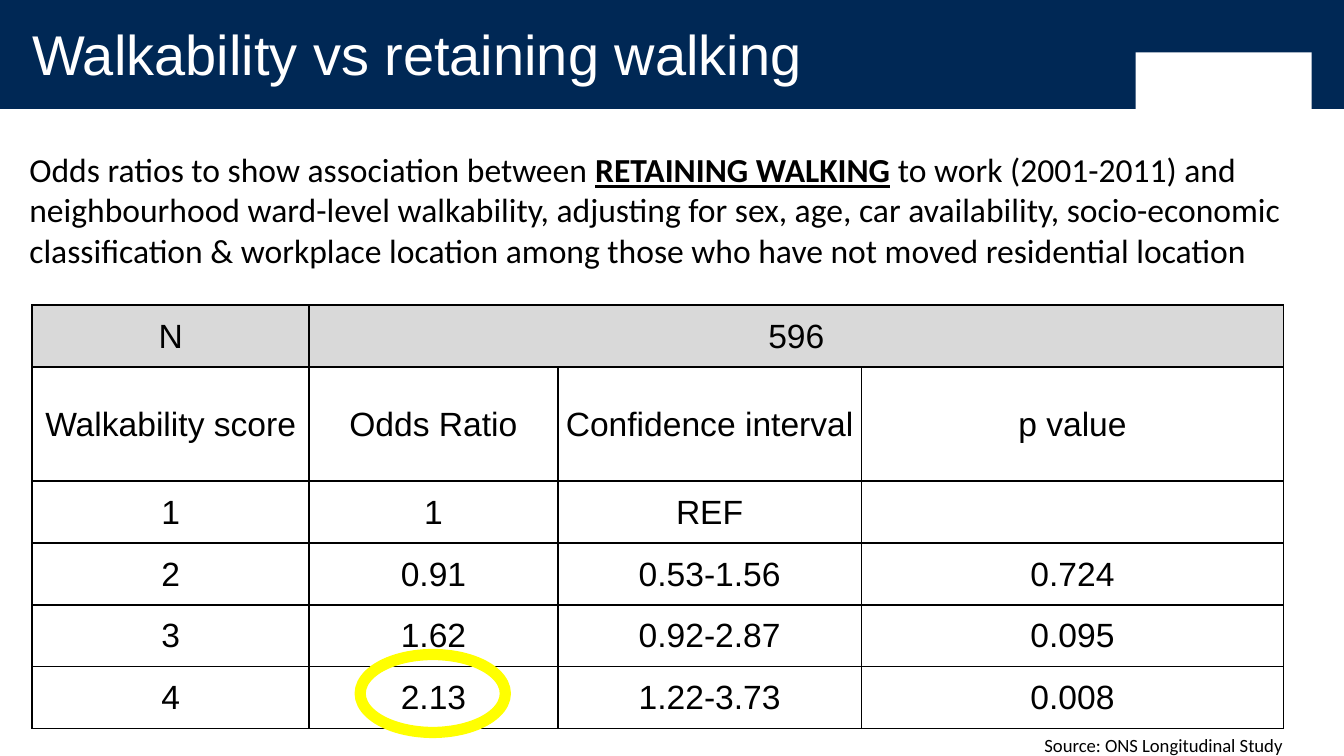
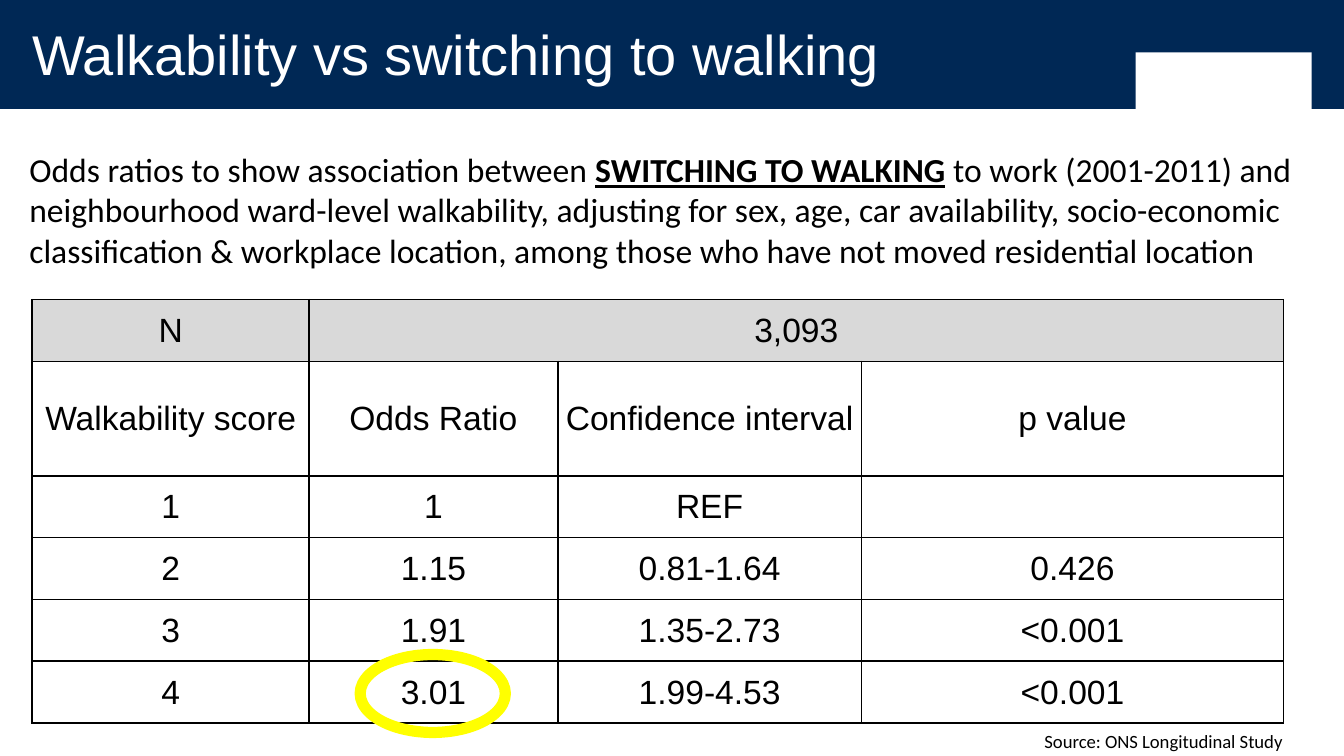
from dataclasses import dataclass

from lxml.etree import SubElement
from pptx import Presentation
from pptx.dml.color import RGBColor
from pptx.enum.shapes import MSO_SHAPE
from pptx.enum.text import MSO_ANCHOR, PP_ALIGN
from pptx.oxml.ns import qn
from pptx.util import Inches, Pt


@dataclass(frozen=True)
class Theme:
    navy: str = "002855"
    white: str = "FFFFFF"
    black: str = "000000"
    grey: str = "D9D9D9"
    yellow: str = "FFFF00"
    heading_font: str = "Arial"
    body_font: str = "Calibri"
    title_size: float = 30
    body_size: float = 18
    source_size: float = 10
    border_width: float = 1
    ring_width: float = 6


THEME = Theme()

SLIDE_WIDTH = 10
SLIDE_HEIGHT = SLIDE_WIDTH * 9 / 16
BAND_BOX = (0, 0, SLIDE_WIDTH, 0.81)
SUMMARY_BOX = (0.12, 1.06, 9.88, 1.01)
RING_BOX = (2.68, 4.87, 1.08, 0.58)
TABLE_LEFT = 0.24
COLUMN_WIDTHS = (2.06, 1.85, 2.26, 3.14)
ROW_HEIGHTS = (0.46, 0.85, 0.46, 0.46, 0.46, 0.46)
CELL_MARGINS = (0.01, 0.01, 0.01, 0)
COLUMN_HEADINGS = ("Walkability score", "Odds Ratio", "Confidence interval", "p value")
REFERENCE_ROW = ("1", "1", "REF", "")

STUDIES = (
    {
        "title": "Walkability vs retaining walking",
        "outcome": "RETAINING WALKING",
        "location": "location",
        "sample_size": "596",
        "results": (
            ("2", "0.91", "0.53-1.56", "0.724"),
            ("3", "1.62", "0.92-2.87", "0.095"),
            ("4", "2.13", "1.22-3.73", "0.008"),
        ),
        "table_top": 2.27,
        "source_top": 5.41,
    },
    {
        "title": "Walkability vs switching to walking",
        "outcome": "SWITCHING TO WALKING",
        "location": "location,",
        "sample_size": "3,093",
        "results": (
            ("2", "1.15", "0.81-1.64", "0.426"),
            ("3", "1.91", "1.35-2.73", "<0.001"),
            ("4", "3.01", "1.99-4.53", "<0.001"),
        ),
        "table_top": 2.23,
        "source_top": 5.38,
    },
)


def inches(values):
    return [Inches(value) for value in values]


def set_margins(target, margins):
    (target.margin_left, target.margin_right,
     target.margin_top, target.margin_bottom) = inches(margins)


def write_text(paragraph, text, *, size=THEME.body_size, font=THEME.body_font,
               color=THEME.black, align=PP_ALIGN.LEFT, emphasis=False):
    """Append one run to the paragraph; emphasis is bold and underlined."""
    paragraph.alignment = align
    run = paragraph.add_run()
    run.text = text
    run.font.size = Pt(size)
    run.font.name = font
    run.font.color.rgb = RGBColor.from_string(color)
    run.font.bold = run.font.underline = emphasis


def add_text_frame(slide, box, margins=(0.1, 0.1, 0.05, 0.05)):
    frame = slide.shapes.add_textbox(*inches(box)).text_frame
    frame.word_wrap = True
    frame.vertical_anchor = MSO_ANCHOR.TOP
    set_margins(frame, margins)
    return frame


def add_block(slide, box, color):
    shape = slide.shapes.add_shape(MSO_SHAPE.RECTANGLE, *inches(box))
    shape.shadow.inherit = False
    shape.fill.solid()
    shape.fill.fore_color.rgb = RGBColor.from_string(color)
    shape.line.fill.background()


def add_title_band(slide, box, title):
    left, top, width, height = box
    add_block(slide, box, THEME.navy)
    add_block(slide, (left + width - 1.55, top + 0.39, 1.31, height - 0.39), THEME.white)
    frame = add_text_frame(slide, (left + 0.24, top + 0.24, 7.83, 0.46), margins=(0, 0, 0, 0))
    paragraph = frame.paragraphs[0]
    paragraph.line_spacing = 0.8
    write_text(paragraph, title, size=THEME.title_size,
               font=THEME.heading_font, color=THEME.white)


def add_summary(slide, box, outcome, location):
    paragraph = add_text_frame(slide, box).paragraphs[0]
    write_text(paragraph, "Odds ratios to show association between ")
    write_text(paragraph, outcome, emphasis=True)
    write_text(paragraph, " to work (2001-2011) and neighbourhood ward-level walkability, "
               "adjusting for sex, age, car availability, socio-economic classification "
               f"& workplace {location} among those who have not moved residential location")


def set_cell_borders(cell):
    properties = cell._tc.get_or_add_tcPr()
    for side in ("lnL", "lnR", "lnT", "lnB"):
        line = SubElement(properties, qn(f"a:{side}"), w=str(Pt(THEME.border_width)))
        fill = SubElement(line, qn("a:solidFill"))
        SubElement(fill, qn("a:srgbClr"), val=THEME.black)


def format_cell(cell, text, shaded):
    set_margins(cell, CELL_MARGINS)
    cell.vertical_anchor = MSO_ANCHOR.MIDDLE
    set_cell_borders(cell)
    if shaded:
        cell.fill.solid()
        cell.fill.fore_color.rgb = RGBColor.from_string(THEME.grey)
    else:
        cell.fill.background()
    paragraph = cell.text_frame.paragraphs[0]
    paragraph.font.size = Pt(THEME.body_size)
    if text:
        write_text(paragraph, text, font=THEME.heading_font, align=PP_ALIGN.CENTER)


def add_odds_table(slide, left, top, sample_size, results):
    rows = (("N", sample_size, "", ""), COLUMN_HEADINGS, REFERENCE_ROW, *results)
    box = (left, top, sum(COLUMN_WIDTHS), sum(ROW_HEIGHTS))
    table = slide.shapes.add_table(len(rows), len(COLUMN_WIDTHS), *inches(box)).table
    table.first_row = table.horz_banding = False
    for column, width in zip(table.columns, COLUMN_WIDTHS):
        column.width = Inches(width)
    for row, height in zip(table.rows, ROW_HEIGHTS):
        row.height = Inches(height)
    for row_index, values in enumerate(rows):
        for column_index, text in enumerate(values):
            format_cell(table.cell(row_index, column_index), text, shaded=row_index == 0)
    table.cell(0, 1).merge(table.cell(0, len(COLUMN_WIDTHS) - 1))


def add_source(slide, box):
    write_text(add_text_frame(slide, box).paragraphs[0], "Source: ONS Longitudinal Study",
               size=THEME.source_size, align=PP_ALIGN.RIGHT)


def add_highlight_ring(slide, box):
    ring = slide.shapes.add_shape(MSO_SHAPE.OVAL, *inches(box))
    ring.shadow.inherit = False
    ring.fill.background()
    ring.line.color.rgb = RGBColor.from_string(THEME.yellow)
    ring.line.width = Pt(THEME.ring_width)


def add_study_slide(presentation, title, outcome, location, sample_size, results,
                    table_top, source_top):
    slide = presentation.slides.add_slide(presentation.slide_layouts[6])
    add_title_band(slide, BAND_BOX, title)
    add_odds_table(slide, TABLE_LEFT, table_top, sample_size, results)
    add_summary(slide, SUMMARY_BOX, outcome, location)
    add_source(slide, (6.94, source_top, 2.7, 0.27))
    add_highlight_ring(slide, RING_BOX)


def main():
    presentation = Presentation()
    presentation.slide_width = Inches(SLIDE_WIDTH)
    presentation.slide_height = Inches(SLIDE_HEIGHT)
    for study in STUDIES:
        add_study_slide(presentation, **study)
    presentation.save("out.pptx")


if __name__ == "__main__":
    main()
